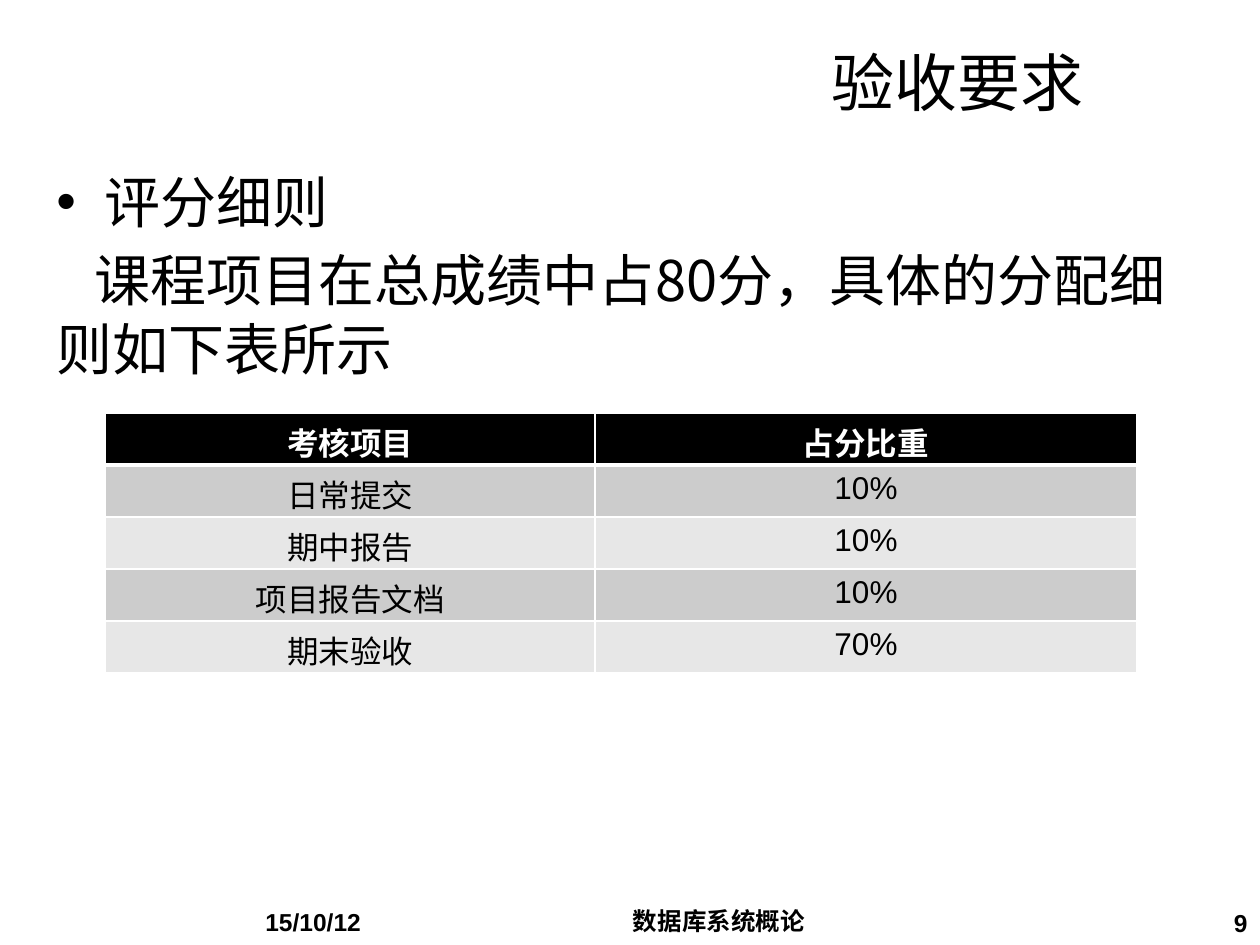
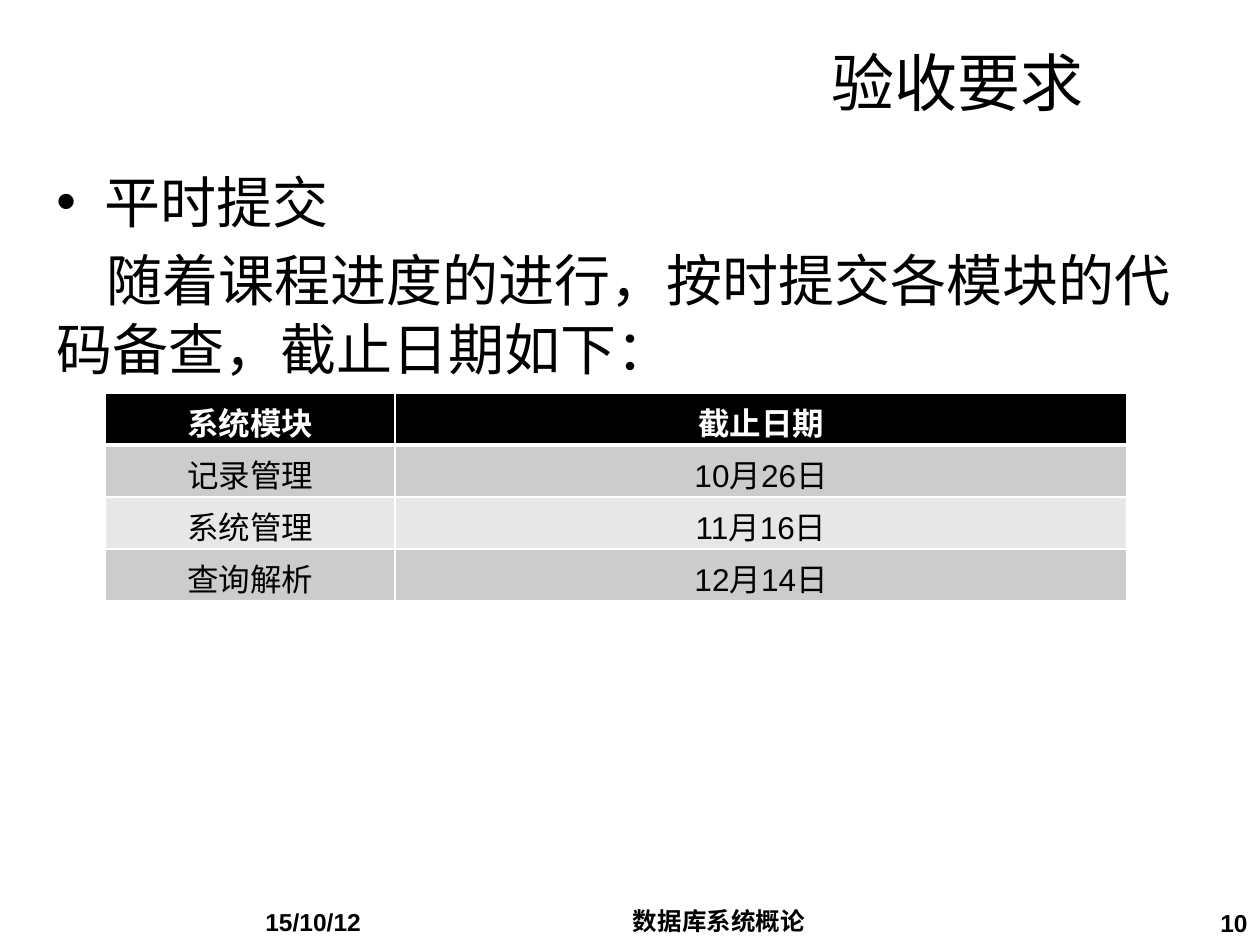
from lxml import etree
from pptx import Presentation
from pptx import util as u
from pptx.dml.color import RGBColor
from pptx.enum import text
from pptx.oxml import ns

BLACK = RGBColor(0x00, 0x00, 0x00)
WHITE = RGBColor(0xFF, 0xFF, 0xFF)
BANDS = (RGBColor(0xCC, 0xCC, 0xCC), RGBColor(0xE7, 0xE7, 0xE7))

SANS, SERIF, CJK = "Arial", "Times New Roman", "Noto Sans CJK SC"
LEFT, MID, RIGHT = (text.PP_ALIGN.LEFT, text.PP_ALIGN.CENTER,
                    text.PP_ALIGN.RIGHT)
PX = u.Inches(1) / 126
WIDE, HIGH = 1260, 945
ROW = 52


def emu(px):
    return u.Emu(round(px * PX))


def child(node, tag, **attrs):
    return etree.SubElement(node, ns.qn(tag), attrs)


class Deck:
    """Holds the shared style and the slide being filled."""

    def __init__(self):
        self.prs = Presentation()
        self.prs.slide_width = emu(WIDE)
        self.prs.slide_height = emu(HIGH)
        self.slide = None

    def page(self, num):
        """Start a slide with the title and footer that all slides share."""
        self.slide = self.prs.slides.add_slide(self.prs.slide_layouts[6])
        title = self.box(144, 26, 952, 110)
        title.vertical_anchor = text.MSO_ANCHOR.MIDDLE
        self.label(title.paragraphs[0], "验收要求", 36, SERIF, align=RIGHT)
        for x, y, w, h, words, align in (
                (253, 901, 277, 44, "15/10/12", LEFT),
                (441, 900, 556, 55, "数据库系统概论", MID),
                (1057, 902, 203, 47, str(num), RIGHT)):
            foot = self.box(x, y, w, h)
            self.label(foot.paragraphs[0], words, 14, bold=True, align=align)

    def box(self, x, y, w, h):
        shape = self.slide.shapes.add_textbox(emu(x), emu(y), emu(w), emu(h))
        frame = shape.text_frame
        frame.word_wrap = True
        return frame

    def label(self, para, words, size, font=SANS, color=BLACK, bold=False,
              align=LEFT):
        """Add one styled run to a paragraph."""
        para.alignment = align
        run = para.add_run()
        run.text = words
        run.font.size = u.Pt(size)
        run.font.bold = bold
        run.font.color.rgb = color
        run.font.name = font
        child(run._r.get_or_add_rPr(), "a:ea", typeface=CJK)

    def body(self, head, words, indent):
        """Add a bulleted heading and a paragraph with a first-line indent."""
        frame = self.box(44, 155, 1181, 725)
        frame.margin_top = emu(11)
        top, rest = frame.paragraphs[0], frame.add_paragraph()
        for para, line in ((top, head), (rest, words)):
            para.line_spacing = u.Pt(39)
            self.label(para, line, 32, CJK)
        rest.space_before = u.Pt(6)
        rest._p.get_or_add_pPr().set("indent", str(emu(indent)))
        props = top._p.get_or_add_pPr()
        props.set("marL", str(emu(48)))
        props.set("indent", str(emu(-48)))
        child(props, "a:buFont", typeface=SANS)
        child(props, "a:buChar", char="•")

    def table(self, x, y, cols, rows):
        grid = self.slide.shapes.add_table(
            len(rows), len(cols), emu(x), emu(y), emu(sum(cols)),
            emu(ROW * len(rows))).table
        for col, w in zip(grid.columns, cols):
            col.width = emu(w)
        for i, row in enumerate(rows):
            grid.rows[i].height = emu(ROW)
            for j, words in enumerate(row):
                self.cell(grid.cell(i, j), words, i)

    def cell(self, cell, words, row):
        head = row == 0
        self.label(cell.text_frame.paragraphs[0], words, 18,
                   color=WHITE if head else BLACK, bold=head, align=MID)
        edges = {"L": 1, "R": 1, "T": 3 if row == 1 else 1,
                 "B": 3 if head else 1}
        props = cell._tc.get_or_add_tcPr()
        for side, width in edges.items():
            line = child(props, "a:ln" + side, w=str(u.Pt(width)))
            child(child(line, "a:solidFill"), "a:srgbClr", val=str(WHITE))
        cell.fill.solid()
        cell.fill.fore_color.rgb = BLACK if head else BANDS[(row - 1) % 2]


def main():
    deck = Deck()

    deck.page(9)
    deck.body("评分细则",
              "课程项目在总成绩中占80分，具体的分配细则如下表所示", 38)
    deck.table(105, 413, (490, 542), (
        ("考核项目", "占分比重"),
        ("日常提交", "10%"),
        ("期中报告", "10%"),
        ("项目报告文档", "10%"),
        ("期末验收", "70%")))

    deck.page(10)
    deck.body("平时提交",
              "随着课程进度的进行，按时提交各模块的代码备查，截止日期如下：", 50)
    deck.table(105, 393, (290, 732), (
        ("系统模块", "截止日期"),
        ("记录管理", "10月26日"),
        ("系统管理", "11月16日"),
        ("查询解析", "12月14日")))

    deck.prs.save("out.pptx")


if __name__ == "__main__":
    main()
